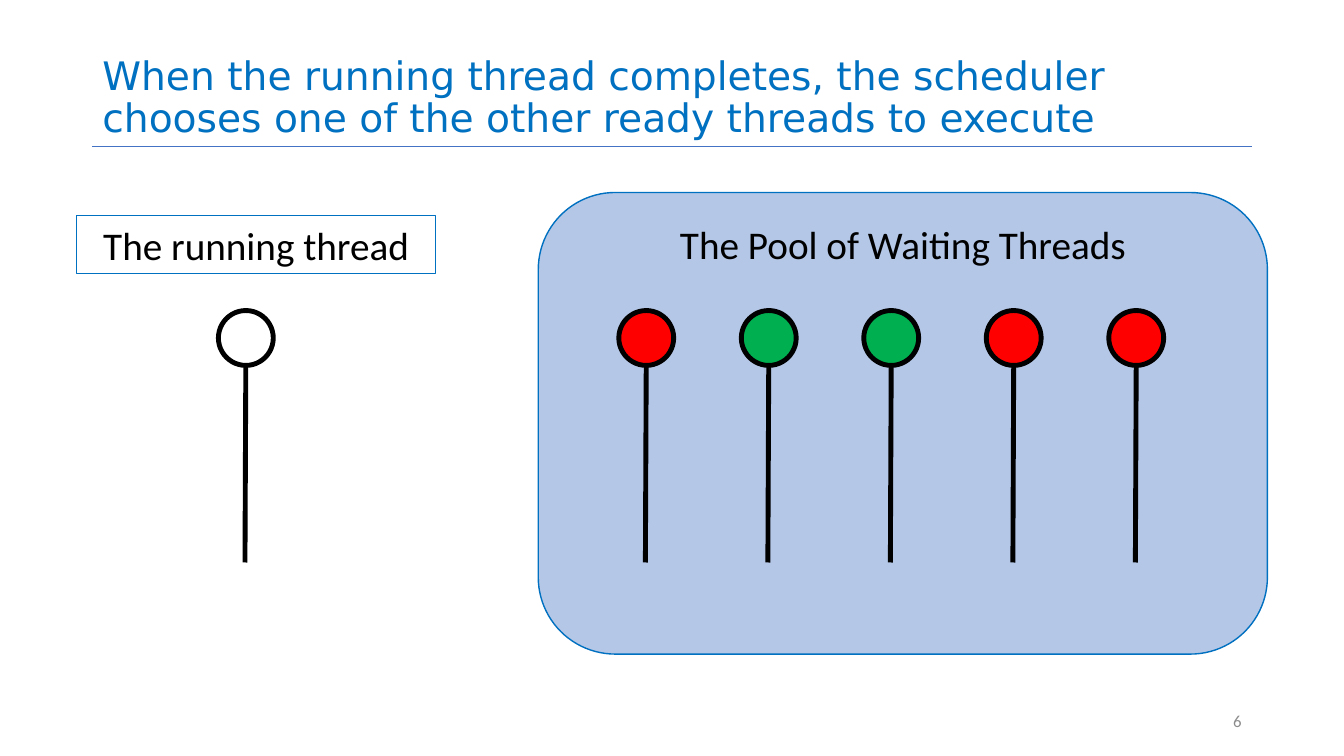
from dataclasses import dataclass

from lxml import etree
from pptx import Presentation
from pptx.dml.color import RGBColor
from pptx.enum import shapes, text
from pptx.oxml import ns
from pptx.util import Pt

BLUE = RGBColor(0x00, 0x70, 0xC0)
RULE_BLUE = RGBColor(0x44, 0x72, 0xC4)
POOL_BLUE = RGBColor(0xB4, 0xC7, 0xE7)
BLACK = RGBColor(0x00, 0x00, 0x00)
GRAY = RGBColor(0x8C, 0x8C, 0x8C)
GREEN = RGBColor(0x00, 0xB0, 0x50)
RED = RGBColor(0xFF, 0x00, 0x00)

HEAD_TOP = 221.8
HEAD_SIZE = 39.2
TAIL_BOTTOM = 401.8
TAIL_LEAN = 0.6
THREAD_WEIGHT = 3.5
POOL_LEFT = 442
POOL_PITCH = 87.5
POOL_COLORS = (RED, GREEN, GREEN, RED, RED)


@dataclass(frozen=True)
class Frame:
    left: float
    top: float
    width: float
    height: float

    def lengths(self) -> tuple[Pt, Pt, Pt, Pt]:
        return Pt(self.left), Pt(self.top), Pt(self.width), Pt(self.height)


@dataclass(frozen=True)
class Thread:
    left: float
    color: RGBColor | None = None


def write(shape, words: str, size: float, font: str, color: RGBColor,
          align: text.PP_ALIGN, anchor: text.MSO_ANCHOR) -> None:
    frame = shape.text_frame
    frame.word_wrap = True
    frame.vertical_anchor = anchor
    para = frame.paragraphs[0]
    para.text = words
    para.alignment = align
    para.font.size = Pt(size)
    para.font.name = font
    para.font.color.rgb = color


def add_outlined(page, kind: shapes.MSO_SHAPE, frame: Frame,
                 fill: RGBColor | None, line: RGBColor, weight: float):
    shape = page.shapes.add_shape(kind, *frame.lengths())
    shape.shadow.inherit = False
    if fill is None:
        shape.fill.background()
    else:
        shape.fill.solid()
        shape.fill.fore_color.rgb = fill
    shape.line.color.rgb = line
    shape.line.width = Pt(weight)
    return shape


def add_line(page, start: tuple[float, float], end: tuple[float, float],
             color: RGBColor, weight: float) -> None:
    line = page.shapes.add_connector(
        shapes.MSO_CONNECTOR.STRAIGHT, *(Pt(value) for value in start + end))
    line.line.color.rgb = color
    line.line.width = Pt(weight)
    etree.SubElement(line._element.spPr, ns.qn("a:effectLst"))


def add_thread(page, thread: Thread) -> None:
    head = Frame(thread.left, HEAD_TOP, HEAD_SIZE, HEAD_SIZE)
    add_outlined(page, shapes.MSO_SHAPE.OVAL, head, thread.color, BLACK, THREAD_WEIGHT)
    center = thread.left + HEAD_SIZE / 2
    add_line(page, (center, HEAD_TOP + HEAD_SIZE), (center - TAIL_LEAN, TAIL_BOTTOM),
             BLACK, THREAD_WEIGHT)


def add_title(page) -> None:
    title = page.shapes.title
    title.left, title.top, title.width, title.height = Frame(66, 0, 828, 104.4).lengths()
    write(title, "When the running thread completes, the scheduler "
          "chooses one of the other ready threads to execute",
          28, "DejaVu Sans", BLUE, text.PP_ALIGN.LEFT, text.MSO_ANCHOR.BOTTOM)
    title.text_frame.auto_size = text.MSO_AUTO_SIZE.NONE
    title.text_frame.paragraphs[0].line_spacing = 0.9
    add_line(page, (66, 104.4), (894, 104.4), RULE_BLUE, 0.5)


def main() -> None:
    deck = Presentation()
    deck.slide_width, deck.slide_height = Pt(960), Pt(540)
    page = deck.slides.add_slide(deck.slide_layouts.get_by_name("Title Only"))
    add_title(page)

    number = page.shapes.add_textbox(*Frame(678, 500.5, 216, 28.75).lengths())
    write(number, "6", 12, "Calibri", GRAY, text.PP_ALIGN.RIGHT, text.MSO_ANCHOR.MIDDLE)

    pool = add_outlined(page, shapes.MSO_SHAPE.ROUNDED_RECTANGLE,
                        Frame(384.5, 137.5, 520.8, 329.7), POOL_BLUE, BLUE, 1)
    write(pool, "The Pool of Waiting Threads", 28, "Calibri", BLACK,
          text.PP_ALIGN.CENTER, text.MSO_ANCHOR.TOP)

    label = add_outlined(page, shapes.MSO_SHAPE.RECTANGLE,
                         Frame(54.5, 154, 256.8, 41.2), None, BLUE, 1)
    write(label, "The running thread", 28, "Calibri", BLACK,
          text.PP_ALIGN.CENTER, text.MSO_ANCHOR.MIDDLE)

    running = Thread(156)
    waiting = [Thread(POOL_LEFT + place * POOL_PITCH, color)
               for place, color in enumerate(POOL_COLORS)]
    for thread in (running, *waiting):
        add_thread(page, thread)

    deck.save("out.pptx")


if __name__ == "__main__":
    main()
